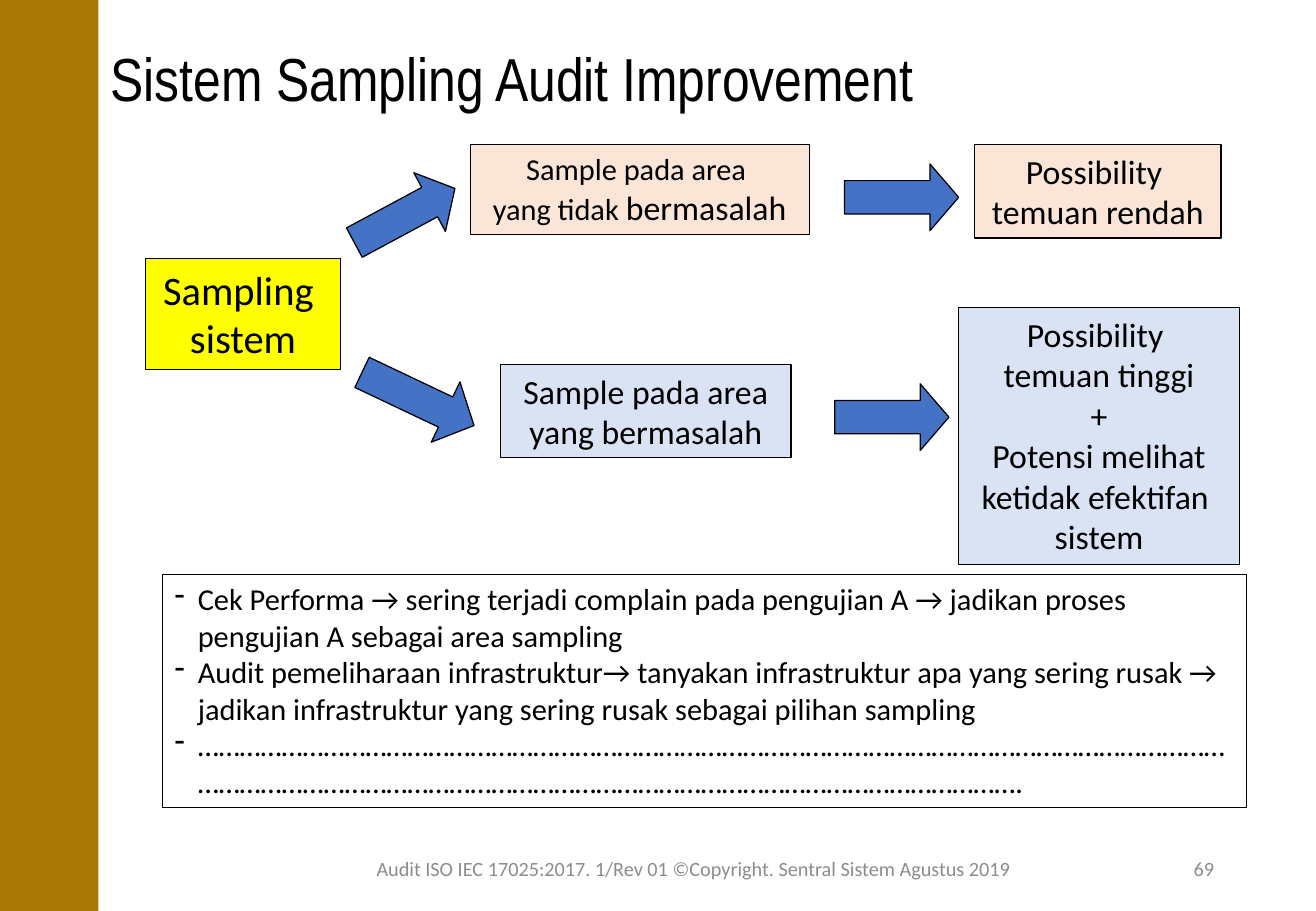
from dataclasses import dataclass

from lxml.etree import SubElement
from pptx import Presentation
from pptx.dml.color import RGBColor
from pptx.enum.shapes import MSO_SHAPE
from pptx.enum.text import MSO_ANCHOR, MSO_AUTO_SIZE, PP_ALIGN
from pptx.oxml.ns import qn
from pptx.util import Emu, Inches, Pt

WIDTH, HEIGHT = Inches(10.83), Inches(7.5)
COLOURS = {
    "black": "000000", "grey": "8C8C8C", "gold": "A87904", "yellow": "FFFF00",
    "peach": "FBE5D6", "pale blue": "DAE3F3", "blue": "4472C4",
}


@dataclass
class Place:
    """Left, top, width and height as percentages of the slide."""
    left: float
    top: float
    width: float
    height: float

    def lengths(self) -> tuple[Emu, Emu, Emu, Emu]:
        return (Emu(round(WIDTH * self.left / 100)), Emu(round(HEIGHT * self.top / 100)),
                Emu(round(WIDTH * self.width / 100)), Emu(round(HEIGHT * self.height / 100)))


@dataclass
class Box:
    place: Place
    lines: list[str]
    size: int
    fill: str


@dataclass
class Arrow:
    place: Place
    rotation: float = 0
    head: float = 0.43


@dataclass
class Label:
    place: Place
    text: str
    size: int
    colour: str
    align: PP_ALIGN
    font: str = "Calibri"
    spacing: float = 1.0


BAR = Place(0, 0, 7.48, 100)
LABELS = [
    Label(Place(7.48, 0.67, 90.03, 16.67), "Sistem Sampling Audit Improvement",
          36, "black", PP_ALIGN.LEFT, "Arial Narrow", 0.9),
    Label(Place(70.64, 92.67, 22.53, 5.33), "69", 12, "grey", PP_ALIGN.RIGHT),
    Label(Place(21.51, 92.67, 62.42, 5.33),
          "Audit ISO IEC 17025:2017. 1/Rev 01 ©Copyright. Sentral Sistem Agustus 2019",
          12, "grey", PP_ALIGN.CENTER),
]
BOXES = [
    Box(Place(11.08, 28.4, 14.77, 12.13), ["Sampling ", "sistem"], 24, "yellow"),
    Box(Place(38.04, 40, 22.07, 10.27), ["Sample pada area", "yang bermasalah"], 20, "pale blue"),
    Box(Place(74.05, 15.87, 18.74, 10.27), ["Possibility ", "temuan rendah"], 20, "peach"),
    Box(Place(72.85, 33.73, 21.33, 28.27),
        ["Possibility ", "temuan tinggi", "+", "Potensi melihat", "ketidak efektifan ", "sistem"],
        20, "pale blue"),
]
CLEAR_AREA = Box(Place(35.73, 15.87, 25.76, 9.87),
                 ["Sample pada area ", "yang tidak "], 18, "peach")
ARROWS = [
    Arrow(Place(63.43, 42.13, 8.68, 7.33)),
    Arrow(Place(64.17, 18, 8.68, 7.33)),
    Arrow(Place(26.41, 20, 8.68, 7.33), rotation=331.7),
    Arrow(Place(27.05, 40.13, 9.42, 7.33), rotation=25.4, head=0.47),
]
NOTES_PLACE = Place(12.37, 63.07, 82.36, 25.6)
NOTES = [
    "Cek Performa → sering terjadi complain pada pengujian A → jadikan proses pengujian A "
    "sebagai area sampling",
    "Audit pemeliharaan infrastruktur→ tanyakan infrastruktur apa yang sering rusak → "
    "jadikan infrastruktur yang sering rusak sebagai pilihan sampling",
    "………………………………………………………………………………………………………………………………………………………………………………………………………………………………………….",
]


def colour(name: str) -> RGBColor:
    return RGBColor.from_string(COLOURS[name])


def style_font(font, size: int, name: str = "black", family: str = "Calibri") -> None:
    font.size, font.name = Pt(size), family
    font.color.rgb = colour(name)


def draw_shape(page, kind: MSO_SHAPE, place: Place, fill: str | None, outlined: bool = True):
    shape = page.shapes.add_shape(kind, *place.lengths())
    shape.shadow.inherit = False
    if fill:
        shape.fill.solid()
        shape.fill.fore_color.rgb = colour(fill)
    else:
        shape.fill.background()
    if outlined:
        shape.line.color.rgb = colour("black")
        shape.line.width = Pt(0.75)
    else:
        shape.line.fill.background()
    return shape


def write_lines(shape, lines: list[str], size: int, align: PP_ALIGN,
                wrap: bool = False, dashed: bool = False) -> None:
    frame = shape.text_frame
    frame.word_wrap = wrap
    frame.auto_size = MSO_AUTO_SIZE.SHAPE_TO_FIT_TEXT
    frame.vertical_anchor = MSO_ANCHOR.TOP
    for index, line in enumerate(lines):
        para = frame.paragraphs[0] if index == 0 else frame.add_paragraph()
        para.alignment = align
        if dashed:
            add_dash(para)
        para.add_run().text = line
        style_font(para.font, size)


def add_dash(para) -> None:
    properties = para._p.get_or_add_pPr()
    indent = Inches(0.19)
    properties.set("marL", str(indent))
    properties.set("indent", str(-indent))
    SubElement(properties, qn("a:buChar")).set("char", "-")


def draw_box(page, box: Box):
    shape = draw_shape(page, MSO_SHAPE.RECTANGLE, box.place, box.fill)
    write_lines(shape, box.lines, box.size, PP_ALIGN.CENTER)
    return shape


def draw_arrow(page, arrow: Arrow) -> None:
    shape = draw_shape(page, MSO_SHAPE.RIGHT_ARROW, arrow.place, "blue")
    shape.adjustments[0], shape.adjustments[1] = 0.5, arrow.head
    shape.rotation = arrow.rotation


def draw_label(page, label: Label) -> None:
    frame = page.shapes.add_textbox(*label.place.lengths()).text_frame
    frame.word_wrap = True
    frame.vertical_anchor = MSO_ANCHOR.MIDDLE
    para = frame.paragraphs[0]
    para.alignment, para.line_spacing = label.align, label.spacing
    para.add_run().text = label.text
    style_font(para.font, label.size, label.colour, label.font)


def main() -> None:
    deck = Presentation()
    deck.slide_width, deck.slide_height = WIDTH, HEIGHT
    page = deck.slides.add_slide(deck.slide_layouts[6])

    # Side bar, title and footer
    draw_shape(page, MSO_SHAPE.RECTANGLE, BAR, "gold", outlined=False)
    for label in LABELS:
        draw_label(page, label)

    # Flow from the sampling system to the findings
    for box in BOXES:
        draw_box(page, box)
    clear_area = draw_box(page, CLEAR_AREA)
    span = clear_area.text_frame.paragraphs[-1].add_run()
    span.text = "bermasalah"
    span.font.size = Pt(20)
    for arrow in ARROWS:
        draw_arrow(page, arrow)

    # Examples
    notes = draw_shape(page, MSO_SHAPE.RECTANGLE, NOTES_PLACE, None)
    write_lines(notes, NOTES, 18, PP_ALIGN.LEFT, wrap=True, dashed=True)

    deck.save("out.pptx")


if __name__ == "__main__":
    main()
